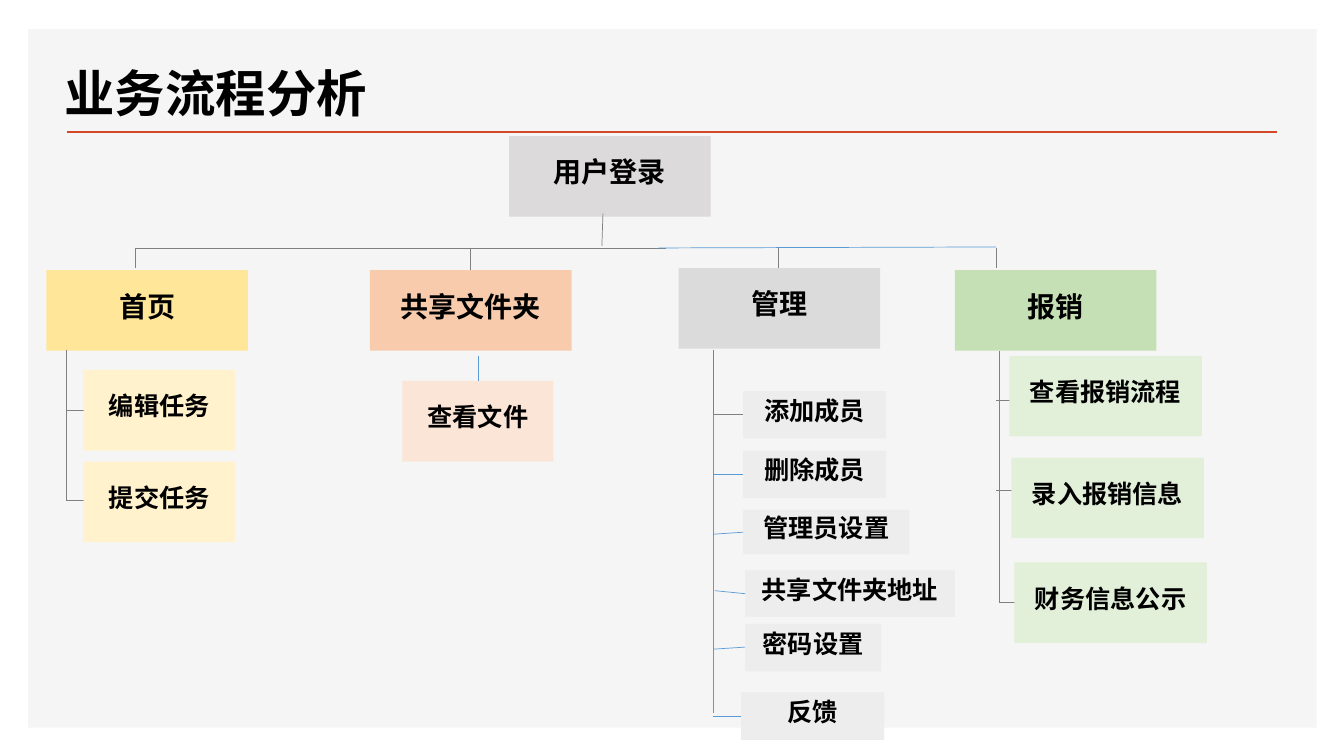
from dataclasses import dataclass

import pptx
import pptx.dml.color
import pptx.enum.shapes
import pptx.enum.text
import pptx.oxml.ns
import pptx.util
from pptx.util import Inches

FONT = "Noto Sans CJK SC"
COLORS = {
    "text": "000000", "panel": "F5F5F5", "rule": "D24726",
    "gray_line": "808080", "blue_line": "5B9BD5",
    "login": "DCDADA",
    "home": "FFE699", "home_item": "FFF2CC",
    "share": "F8CBAD", "share_item": "FBE5D6",
    "admin": "DBDBDB", "admin_item": "EDEDED",
    "claim": "C5E0B4", "claim_item": "E2F0D9",
}
ELBOW = pptx.enum.shapes.MSO_CONNECTOR.ELBOW
STRAIGHT = pptx.enum.shapes.MSO_CONNECTOR.STRAIGHT
ANCHOR = pptx.enum.text.MSO_ANCHOR
ALIGN = pptx.enum.text.PP_ALIGN


@dataclass
class Box:
    text: str
    x: float
    y: float
    color: str
    w: float = 2
    h: float = 0.8
    size: int = 20


@dataclass
class Line:
    x1: float
    y1: float
    x2: float
    y2: float
    color: str = "gray_line"
    width: float = 0.5
    bent: bool = False


def rgb(name: str) -> pptx.dml.color.RGBColor:
    return pptx.dml.color.RGBColor.from_string(COLORS[name])


def write(tf, text: str, size: int, align=ALIGN.CENTER, anchor=ANCHOR.MIDDLE, spacing: float = 0.9) -> None:
    tf.word_wrap = True
    tf.vertical_anchor = anchor
    p = tf.paragraphs[0]
    p.alignment = align
    p.line_spacing = spacing
    r = p.add_run()
    r.text = text
    r.font.size = pptx.util.Pt(size)
    r.font.bold = True
    r.font.name = FONT
    r.font.color.rgb = rgb("text")
    # East Asian characters take their font from a:ea
    ea = r._r.get_or_add_rPr().makeelement(pptx.oxml.ns.qn("a:ea"), {"typeface": FONT})
    r.font._element.find(pptx.oxml.ns.qn("a:latin")).addnext(ea)


def draw_box(s, box: Box) -> None:
    sp = s.shapes.add_shape(pptx.enum.shapes.MSO_SHAPE.RECTANGLE,
                            Inches(box.x), Inches(box.y), Inches(box.w), Inches(box.h))
    sp.shadow.inherit = False
    sp.fill.solid()
    sp.fill.fore_color.rgb = rgb(box.color)
    sp.line.fill.background()
    if box.text:
        tf = sp.text_frame
        tf.margin_left = tf.margin_right = tf.margin_top = Inches(0.01)
        tf.margin_bottom = Inches(0.06)
        write(tf, box.text, box.size)


def draw_line(s, line: Line) -> None:
    c = s.shapes.add_connector(ELBOW if line.bent else STRAIGHT, Inches(line.x1), Inches(line.y1),
                               Inches(line.x2), Inches(line.y2))
    c.line.color.rgb = rgb(line.color)
    c.line.width = pptx.util.Pt(line.width)
    spPr = c._element.spPr
    spPr.append(spPr.makeelement(pptx.oxml.ns.qn("a:effectLst"), {}))
    if line.bent:
        spPr.find(pptx.oxml.ns.qn("a:prstGeom")).set("prst", "bentConnector2")


prs = pptx.Presentation()
prs.slide_width, prs.slide_height = Inches(13.33), Inches(7.5)
s = prs.slides.add_slide(prs.slide_layouts[5])

# Panel, rule and title
draw_box(s, Box("", 0.28, 0.29, "panel", 12.78, 6.93))
draw_line(s, Line(0.66, 1.31, 12.67, 1.31, "rule", 2))
title = s.shapes.title
title.left, title.top, title.width, title.height = Inches(0.54), Inches(0.34), Inches(5.73), Inches(0.93)
write(title.text_frame, "业务流程分析", 36, ALIGN.LEFT, ANCHOR.BOTTOM, 1.0)
s.shapes._spTree.append(title._element)

# Login and the four modules
modules = [
    Box("用户登录", 5.05, 1.35, "login"),
    Box("首页", 0.46, 2.68, "home"),
    Box("共享文件夹", 3.67, 2.68, "share"),
    Box("管理", 6.73, 2.66, "admin"),
    Box("报销", 9.47, 2.68, "claim"),
]

# Functions inside each module
home_items = [Box(text, 0.83, 3.67 + 0.91 * i, "home_item", 1.5, size=18)
              for i, text in enumerate(["编辑任务", "提交任务"])]
share_items = [Box("查看文件", 3.99, 3.78, "share_item", 1.5, size=18)]
claim_items = [Box(text, x, y, "claim_item", 1.91, size=18) for text, x, y in [
    ("查看报销流程", 10.01, 3.53), ("录入报销信息", 10.03, 4.54), ("财务信息公示", 10.06, 5.58)]]
admin_items = [Box(text, x, y, "admin_item", w, h, 18) for text, x, y, w, h in [
    ("添加成员", 7.37, 3.88, 1.42, 0.47), ("删除成员", 7.37, 4.47, 1.42, 0.47),
    ("管理员设置", 7.37, 5.06, 1.65, 0.44), ("共享文件夹地址", 7.39, 5.66, 2.08, 0.46),
    ("密码设置", 7.39, 6.19, 1.35, 0.47), ("反馈", 7.35, 6.87, 1.42, 0.47)]]

# Gray trunks, drops to the modules and short branches
gray_lines = [
    Line(7.08, 3.47, 7.08, 4.12),
    Line(9.91, 3.48, 9.91, 5.98),
    Line(6.61, 2.46, 1.34, 2.66, bent=True),
    Line(5.97, 2.44, 5.98, 2.12),
    Line(0.66, 3.47, 0.66, 4.97),
]
gray_lines += [Line(x, 2.46, x, y) for x, y in [(4.67, 2.68), (7.72, 2.66), (9.88, 2.66)]]
gray_lines += [Line(x + 0.3, y, x, y) for x, y in [
    (7.08, 4.11), (9.88, 3.97), (9.88, 4.86), (9.91, 5.98), (0.66, 4.07), (0.66, 4.96)]]

# Blue links
blue_lines = [Line(*ends, "blue_line") for ends in [
    (6.53, 2.46, 9.88, 2.45), (7.08, 4.11, 7.08, 7.07), (7.07, 4.71, 7.37, 4.71),
    (7.37, 5.28, 7.07, 5.3), (7.39, 5.89, 7.09, 5.86), (7.39, 6.42, 7.08, 6.44),
    (7.35, 7.11, 7.07, 7.11), (4.74, 3.53, 4.74, 3.78)]]

for box in modules:
    draw_box(s, box)
for line in gray_lines:
    draw_line(s, line)
for box in claim_items + home_items + share_items + admin_items:
    draw_box(s, box)
for line in blue_lines:
    draw_line(s, line)

prs.save("out.pptx")
